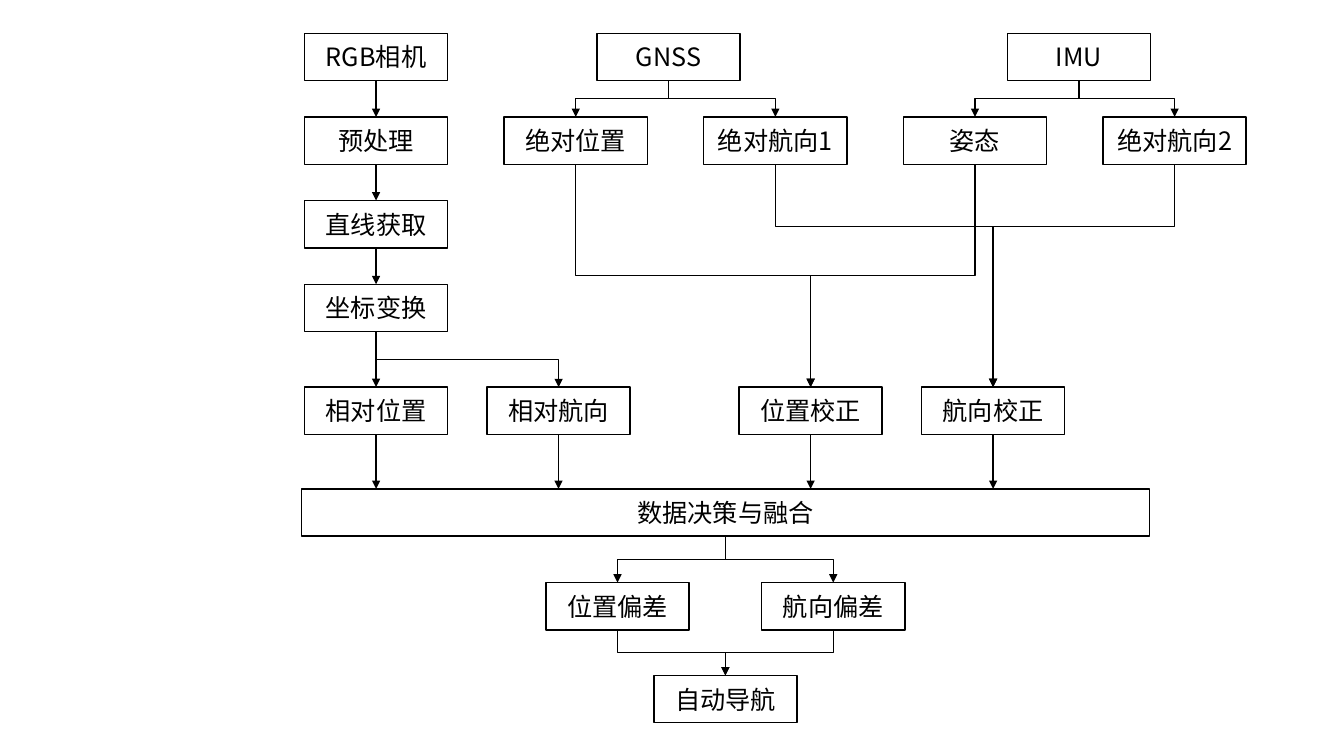
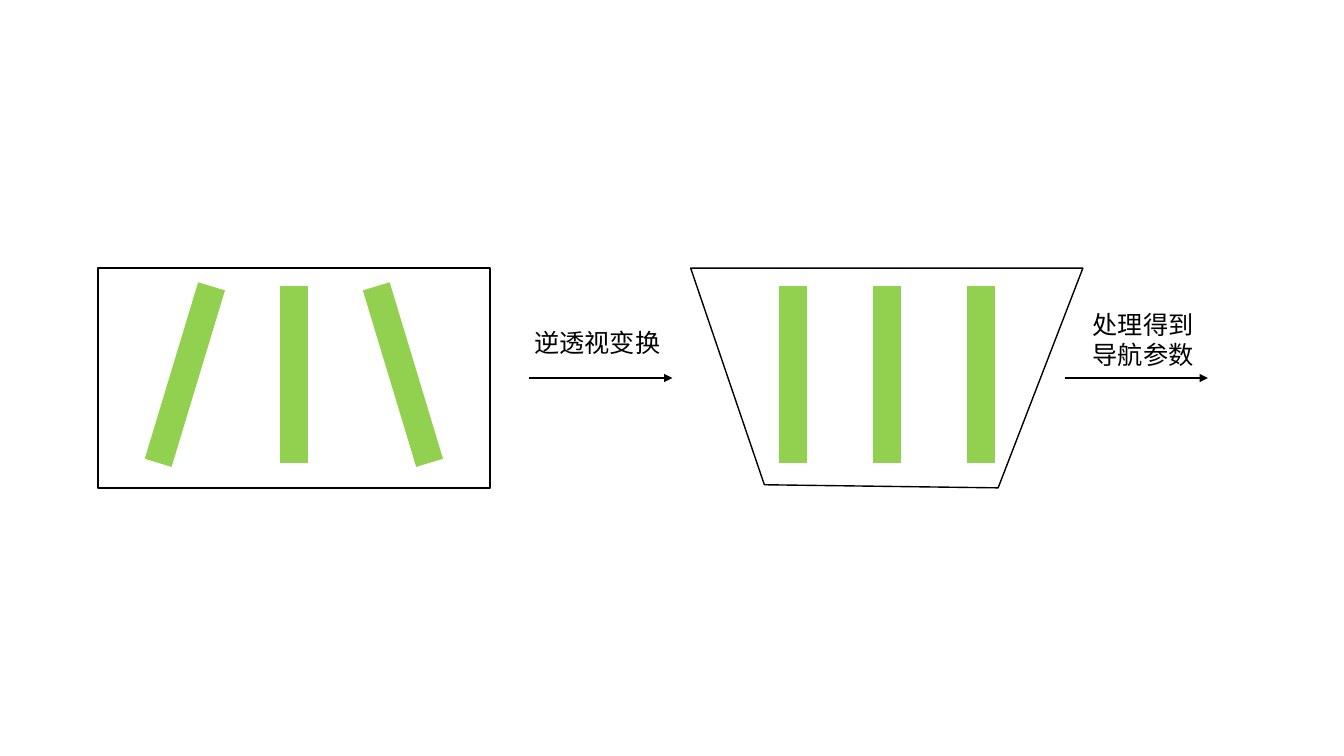
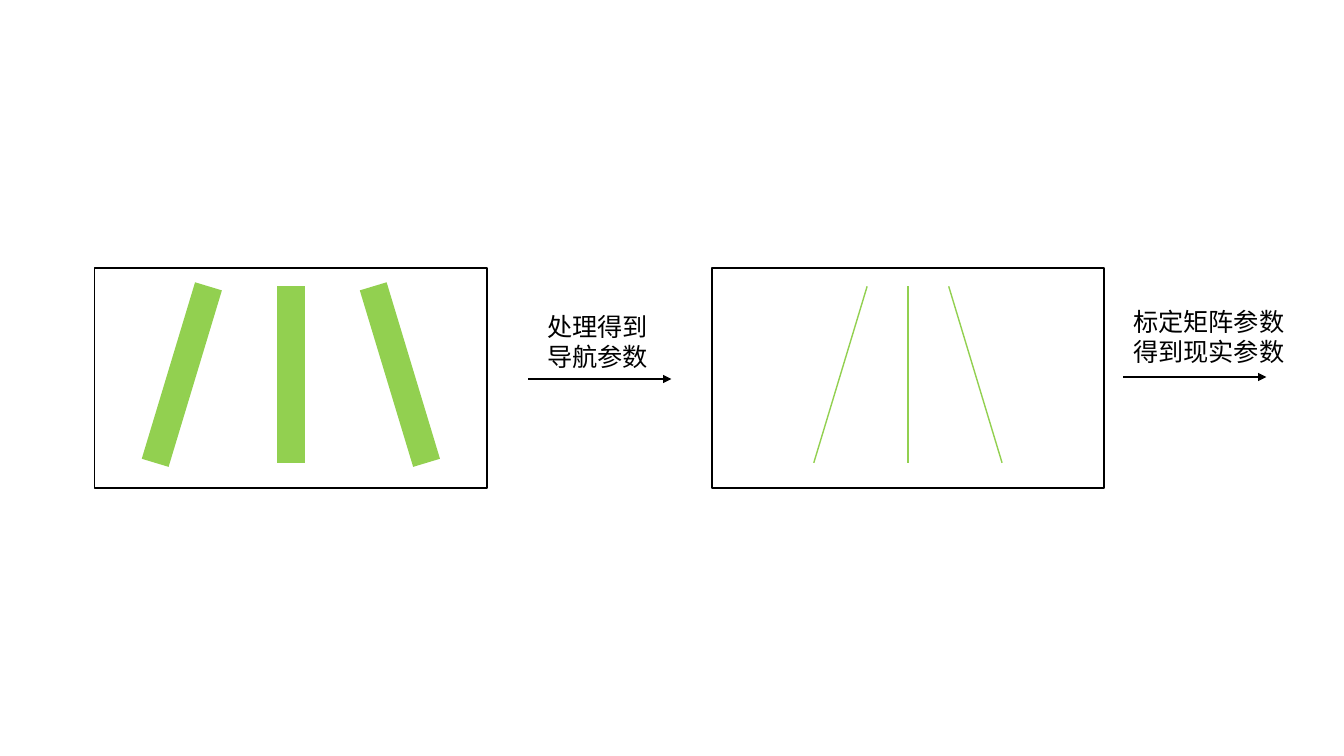
from collections import namedtuple

from lxml import etree
from pptx import Presentation
from pptx.dml.color import RGBColor
from pptx.enum.shapes import MSO_CONNECTOR, MSO_SHAPE
from pptx.enum.text import MSO_ANCHOR, PP_ALIGN
from pptx.oxml.ns import qn
from pptx.util import Inches, Pt

# Shared style
BLACK = RGBColor(0x00, 0x00, 0x00)
GREEN = RGBColor(0x92, 0xD0, 0x50)
FONT = "Noto Sans CJK SC"
FONT_SIZE = 18
STRAIGHT, ELBOW = MSO_CONNECTOR.STRAIGHT, MSO_CONNECTOR.ELBOW
RECTANGLE = MSO_SHAPE.RECTANGLE
CENTER, MIDDLE = PP_ALIGN.CENTER, MSO_ANCHOR.MIDDLE
SLIDE_WIDTH, SLIDE_HEIGHT = 13.33, 7.5
BLANK_LAYOUT = 6

Box = namedtuple("Box", "left top width height")
Node = namedtuple("Node", "center top bottom")


# Basic parts
def write_text(text_frame, text, alignment=None):
    text_frame.text = text
    for paragraph in text_frame.paragraphs:
        paragraph.alignment = alignment
        for run in paragraph.runs:
            run.font.name = FONT
            run.font.size = Pt(FONT_SIZE)
            run.font.color.rgb = BLACK
            east_asian = etree.SubElement(run.font._element, qn("a:ea"))
            east_asian.set("typeface", FONT)


def style_outline(shape):
    shape.shadow.inherit = False
    shape.fill.background()
    shape.line.color.rgb = BLACK
    shape.line.width = Pt(1)


def add_frame(slide, box):
    shape = slide.shapes.add_shape(RECTANGLE, *map(Inches, box))
    style_outline(shape)
    return shape


def add_line(slide, start, end, color=BLACK, width=1, arrow=False, kind=STRAIGHT):
    connector = slide.shapes.add_connector(kind, *map(Inches, (*start, *end)))
    connector.line.color.rgb = color
    connector.line.width = Pt(width)
    if arrow:
        head = etree.SubElement(connector.line._get_or_add_ln(), qn("a:tailEnd"))
        head.set("type", "triangle")
    etree.SubElement(connector._element.spPr, qn("a:effectLst"))
    return connector


def add_elbow(slide, start, end, bend=0.5):
    """Arrow that goes down, across at the share `bend`, and down again."""
    connector = add_line(slide, start, end, arrow=True, kind=ELBOW)
    across, down = end[0] - start[0], end[1] - start[1]
    # The preset runs sideways, so its box is turned by a quarter
    connector.left = Inches((start[0] + end[0] - down) / 2)
    connector.top = Inches((start[1] + end[1] - abs(across)) / 2)
    connector.width, connector.height = Inches(down), Inches(abs(across))
    properties = connector._element.spPr
    transform = properties.find(qn("a:xfrm"))
    transform.attrib.pop("flipH", None)
    transform.set("rot", str((270 if across > 0 else 90) * 60000))
    if across > 0:
        transform.set("flipH", "1")
    adjustments = properties.find(qn("a:prstGeom")).find(qn("a:avLst"))
    guide = etree.SubElement(adjustments, qn("a:gd"))
    guide.set("name", "adj1")
    guide.set("fmla", f"val {round(bend * 100000)}")


# Flow chart
NODE_WIDTH, NODE_HEIGHT = 1.42, 0.47
ROW_STEP = 0.83
SENSOR_STEP, RESULT_STEP = 1.98, 1.81


def add_node(slide, text, center, top, width=NODE_WIDTH):
    box = Box(center - width / 2, top, width, NODE_HEIGHT)
    shape = add_frame(slide, box)
    shape.text_frame.vertical_anchor = MIDDLE
    write_text(shape.text_frame, text, CENTER)
    return Node(center, top, top + NODE_HEIGHT)


def link(slide, source, target, bend=0.5):
    start, end = (source.center, source.bottom), (target.center, target.top)
    if source.center == target.center:
        add_line(slide, start, end, arrow=True)
    else:
        add_elbow(slide, start, end, bend)


def add_camera_branch(slide, box):
    steps = [add_node(slide, text, box.left, box.top + row * ROW_STEP)
             for row, text in enumerate(("RGB相机", "预处理", "直线获取", "坐标变换"))]
    results = [add_node(slide, text, box.left + column * RESULT_STEP, box.top + box.height)
               for column, text in enumerate(("相对位置", "相对航向"))]
    for source, target in zip(steps, steps[1:]):
        link(slide, source, target)
    for result in results:
        link(slide, steps[-1], result)
    return results


def add_sensor_branch(slide, box):
    gnss = add_node(slide, "GNSS", box.left + 0.92, box.top)
    imu = add_node(slide, "IMU", box.left + 4.99, box.top)
    readings = [add_node(slide, text, box.left + column * SENSOR_STEP, box.top + ROW_STEP)
                for column, text in enumerate(("绝对位置", "绝对航向1", "姿态", "绝对航向2"))]
    corrections = [add_node(slide, text, box.left + 2.33 + column * RESULT_STEP,
                            box.top + box.height)
                   for column, text in enumerate(("位置校正", "航向校正"))]
    position, heading = corrections
    for index, reading in enumerate(readings):
        link(slide, gnss if index < 2 else imu, reading)
    for reading in readings[::2]:
        link(slide, reading, position)
    for reading in readings[1::2]:
        link(slide, reading, heading, bend=0.28)
    return corrections


def add_fusion(slide, box, inputs):
    center = box.left + box.width / 2
    fusion = add_node(slide, "数据决策与融合", center, box.top, box.width)
    for source in inputs:
        link(slide, source, fusion._replace(center=source.center))
    navigation = add_node(slide, "自动导航", center, box.top + 1.85)
    for text, side in (("位置偏差", -1), ("航向偏差", 1)):
        deviation = add_node(slide, text, center + side * 1.07, box.top + 0.93)
        link(slide, fusion, deviation)
        link(slide, deviation, navigation)


def build_flow_slide(slide):
    top, height = 0.33, 3.51
    inputs = add_camera_branch(slide, Box(3.73, top, RESULT_STEP, height))
    inputs += add_sensor_branch(slide, Box(5.71, top, 3 * SENSOR_STEP, height))
    add_fusion(slide, Box(2.99, 4.85, 8.41, NODE_HEIGHT), inputs)


# Crop row views
VIEW_TOP, VIEW_WIDTH, VIEW_HEIGHT = 2.66, 3.89, 2.18
PERSPECTIVE = (0.21, 0.346)
PARALLEL = (0.24, 0.24)
NAVIGATION = (0.104, 0.24)
GROUND_OUTLINE = ((0, 0), (1, 0), (0.784, 1), (0.188, 0.986))


def view_box(left):
    return Box(left, VIEW_TOP, VIEW_WIDTH, VIEW_HEIGHT)


def add_crop_rows(slide, box, spreads, width=20):
    """Three rows; spreads are the shares between rows at top and bottom."""
    far, near = spreads
    for side in (-1, 0, 1):
        start = (box.left + box.width * (0.5 + side * far), box.top + box.height * 0.083)
        end = (box.left + box.width * (0.5 + side * near), box.top + box.height * 0.886)
        add_line(slide, start, end, GREEN, width)


def add_camera_view(slide, box, spreads, width=20):
    add_crop_rows(slide, box, spreads, width)
    add_frame(slide, box)


def add_ground_view(slide, box):
    add_crop_rows(slide, box, PARALLEL)
    corners = [(Inches(box.left + x * box.width), Inches(box.top + y * box.height))
               for x, y in GROUND_OUTLINE]
    builder = slide.shapes.build_freeform(*corners[0])
    builder.add_line_segments(corners[1:], close=True)
    style_outline(builder.convert_to_shape())


def add_step(slide, left, top, text, caption):
    """Arrow at (left, top) with its caption in the given box."""
    add_line(slide, (left, top), (left + 1.42, top), width=1.5, arrow=True)
    text_box = slide.shapes.add_textbox(*map(Inches, caption))
    text_box.text_frame.word_wrap = True
    write_text(text_box.text_frame, text)


def build_transform_slide(slide):
    add_camera_view(slide, view_box(0.97), PERSPECTIVE)
    add_ground_view(slide, view_box(6.85))
    add_step(slide, 5.25, 3.75, "逆透视变换", Box(5.2, 3.2, 1.5, 0.4))
    add_step(slide, 10.56, 3.75, "处理得到导航参数", Box(10.74, 3.02, 1.24, 0.71))


def build_calibration_slide(slide):
    add_camera_view(slide, view_box(0.94), PERSPECTIVE)
    add_camera_view(slide, view_box(7.06), NAVIGATION, width=1)
    add_step(slide, 5.24, 3.76, "处理得到导航参数", Box(5.33, 3.04, 1.22, 0.71))
    add_step(slide, 11.14, 3.74, "标定矩阵参数\n得到现实参数", Box(11.14, 2.99, 2.19, 0.71))


presentation = Presentation()
presentation.slide_width = Inches(SLIDE_WIDTH)
presentation.slide_height = Inches(SLIDE_HEIGHT)
for build in (build_flow_slide, build_transform_slide, build_calibration_slide):
    build(presentation.slides.add_slide(presentation.slide_layouts[BLANK_LAYOUT]))
presentation.save("out.pptx")
